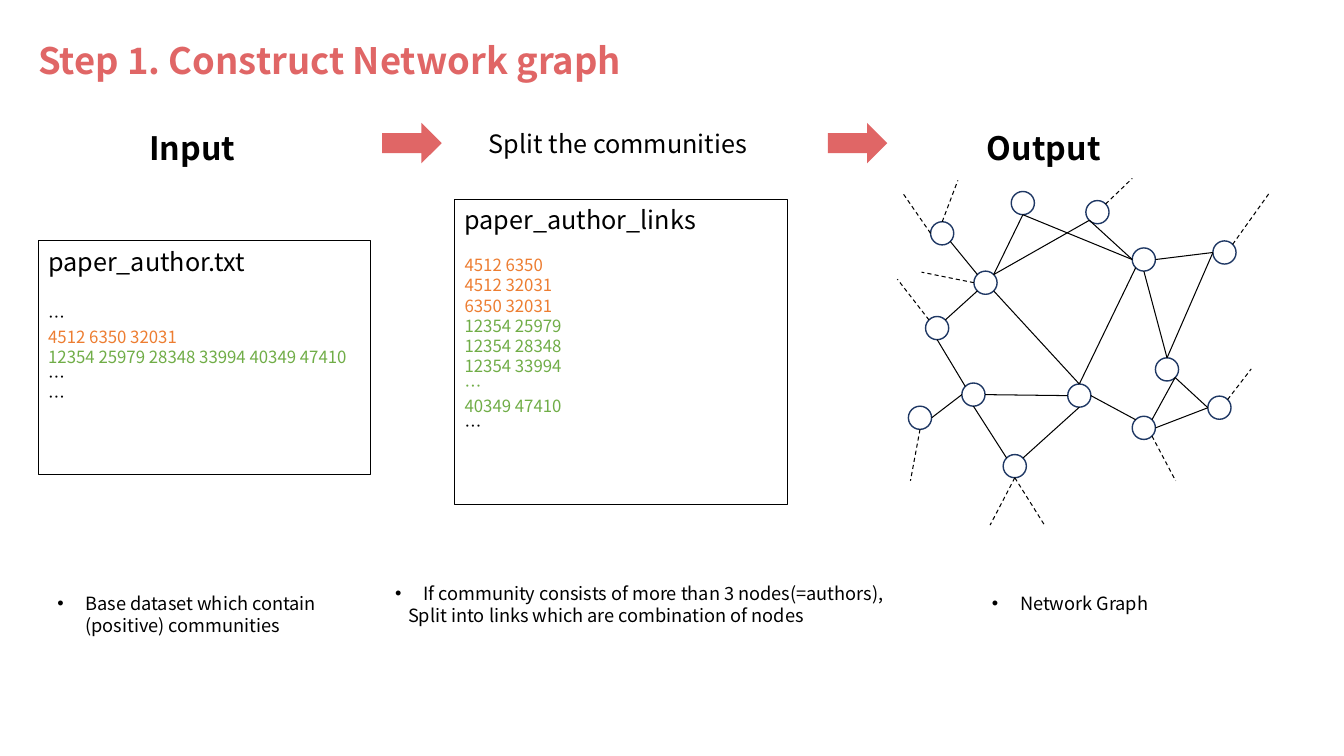
from lxml import etree
from pptx import Presentation
from pptx.dml.color import RGBColor
from pptx.enum.dml import MSO_LINE
from pptx.enum.shapes import MSO_CONNECTOR, MSO_SHAPE
from pptx.enum.text import MSO_ANCHOR, MSO_AUTO_SIZE, PP_ALIGN
from pptx.oxml.ns import qn
from pptx.util import Pt

DASH = MSO_LINE.DASH
STRAIGHT = MSO_CONNECTOR.STRAIGHT
OVAL, RECTANGLE, ARROW = MSO_SHAPE.OVAL, MSO_SHAPE.RECTANGLE, MSO_SHAPE.RIGHT_ARROW
TOP, LEFT, NO_FIT = MSO_ANCHOR.TOP, PP_ALIGN.LEFT, MSO_AUTO_SIZE.NONE

EMU_PER_PX = 9144
FONT = "Noto Sans CJK KR"
LEADING = 1.2
COLORS = {"accent": "E06666", "ink": "000000", "node": "1F3864",
          "orange": "ED7D31", "green": "70AD47"}

NODE_SIZE = 23
NODES = {
    "hub": (76, 92), "east": (233, 69), "center": (169, 204), "north": (113, 13),
    "peak": (187, 22), "west": (28, 137), "low": (64, 203), "south": (105, 274),
    "corner": (33, 43), "edge": (11, 226), "right": (256, 178), "far": (313, 62),
    "base": (233, 236), "end": (308, 216),
}
SITES = {"n": (0.5, 0), "s": (0.5, 1), "w": (0, 0.5), "e": (1, 0.5),
         "nw": (0.15, 0.15), "ne": (0.85, 0.15), "sw": (0.15, 0.85), "se": (0.85, 0.85)}
LINKS = [
    ("hub", "ne", "north", "s"), ("east", "w", "north", "s"),
    ("hub", "ne", "peak", "sw"), ("east", "w", "peak", "sw"),
    ("west", "ne", "hub", "sw"), ("west", "s", "low", "nw"),
    ("center", "w", "low", "e"), ("south", "nw", "low", "s"),
    ("south", "ne", "center", "s"), ("corner", "se", "hub", "nw"),
    ("edge", "e", "low", "w"), ("east", "e", "far", "w"),
    ("east", "s", "right", "n"), ("far", "w", "right", "n"),
    ("center", "e", "base", "nw"), ("right", "se", "end", "w"),
    ("base", "e", "end", "w"), ("right", "se", "base", "ne"),
    ("center", "n", "hub", "se"), ("east", "sw", "center", "n"),
]
OPEN_LINKS = [
    ("corner", "n", 60, 2), ("corner", "w", 5, 14), ("west", "nw", 0, 100),
    ("hub", "w", 24, 93), ("edge", "s", 13, 300), ("south", "s", 92, 344),
    ("south", "s", 146, 344), ("far", "ne", 370, 13), ("base", "se", 276, 300),
    ("end", "ne", 351, 189), ("peak", "ne", 233, 0),
]


def px(length):
    """Turn px into EMU."""
    return round(length * EMU_PER_PX)


def rgb(name):
    """Look up a colour."""
    return RGBColor.from_string(COLORS[name])


def set_frame(frame):
    """Give a text frame the common insets, wrapping and anchor."""
    frame.word_wrap = True
    frame.auto_size = NO_FIT
    frame.vertical_anchor = TOP
    frame.margin_left = frame.margin_right = px(10)
    frame.margin_top = frame.margin_bottom = px(5)


def write(frame, text, size=12, color="ink", bold=False, after=0, margin=0, bullet=False):
    """Write one paragraph, using the first one while it is empty."""
    para = frame.paragraphs[0] if not frame.text else frame.add_paragraph()
    para.alignment = LEFT
    para.line_spacing = Pt(size * LEADING)
    para.space_before, para.space_after = Pt(0), Pt(after)
    span = para.add_run()
    span.text = text
    span.font.name, span.font.size, span.font.bold = FONT, Pt(size), bold
    span.font.color.rgb = rgb(color)
    properties = para._p.get_or_add_pPr()
    properties.set("marL", str(px(31 if bullet else margin)))
    properties.set("indent", str(px(-28 if bullet else 0)))
    if bullet:
        etree.SubElement(properties, qn("a:buFont")).set("typeface", "Arial")
        etree.SubElement(properties, qn("a:buChar")).set("char", "•")


def add_text(page, box, text, **style):
    """Add a text box holding one paragraph and return its frame."""
    frame = page.shapes.add_textbox(*map(px, box)).text_frame
    set_frame(frame)
    write(frame, text, **style)
    return frame


def add_figure(page, kind, box, fill=None, line=None, width=1):
    """Add a preset shape with a plain fill and outline."""
    shape = page.shapes.add_shape(kind, *map(px, box))
    shape.shadow.inherit = False
    if fill:
        shape.fill.solid()
        shape.fill.fore_color.rgb = rgb(fill)
    else:
        shape.fill.background()
    if line:
        shape.line.color.rgb = rgb(line)
        shape.line.width = Pt(width)
    else:
        shape.line.fill.background()
    return shape


def add_link(page, start, end, dash=None):
    """Draw a thin line between two points."""
    link = page.shapes.add_connector(STRAIGHT, *map(px, (*start, *end)))
    link.line.color.rgb = rgb("ink")
    link.line.width = Pt(0.75)
    if dash:
        link.line.dash_style = dash
    etree.SubElement(link._element.spPr, qn("a:effectLst"))


def add_title(page, box, text):
    """Place and format the title placeholder."""
    title = page.shapes.title
    title.left, title.top, title.width, title.height = map(px, box)
    set_frame(title.text_frame)
    write(title.text_frame, text, size=26, color="accent", bold=True)


def add_listing(page, box, name, gap, rows):
    """Add a framed file listing with a heading and coloured rows."""
    frame = add_figure(page, RECTANGLE, box, line="ink", width=0.75).text_frame
    set_frame(frame)
    write(frame, name, size=18, after=gap)
    for text, color in rows:
        write(frame, text, color=color)


def add_network(page, box):
    """Draw the network graph inside its box."""
    left, top = box[:2]

    def site_point(node, site):
        """Locate a site on the outline of a node."""
        return tuple(origin + corner + NODE_SIZE * share for origin, corner, share
                     in zip((left, top), NODES[node], SITES[site]))

    for x, y in NODES.values():
        add_figure(page, OVAL, (left + x, top + y, NODE_SIZE, NODE_SIZE), line="node")
    for first, first_site, second, second_site in LINKS:
        add_link(page, site_point(first, first_site), site_point(second, second_site))
    for node, site, x, y in OPEN_LINKS:
        add_link(page, site_point(node, site), (left + x, top + y), dash=DASH)


def main():
    """Build and save the deck."""
    deck = Presentation()
    deck.slide_width, deck.slide_height = px(1333), px(750)
    page = deck.slides.add_slide(deck.slide_layouts[5])
    add_title(page, (28, 33, 633, 40), "Step 1. Construct Network graph")
    add_text(page, (138, 122, 217, 40), "Input", size=23, bold=True)
    add_text(page, (475, 122, 282, 40), "Split the communities", size=18)
    add_text(page, (969, 122, 217, 40), "Output", size=23, bold=True)
    for left in (379, 821):
        add_figure(page, ARROW, (left, 122, 59, 40), fill="accent")
    add_listing(page, (38, 239, 330, 232), "paper_author.txt", 21.6, [
        ("…", "ink"), ("4512 6350 32031", "orange"),
        ("12354 25979 28348 33994 40349 47410", "green"), ("…", "ink"), ("…", "ink")])
    add_listing(page, (451, 198, 330, 303), "paper_author_links", 14.4, [
        ("4512 6350", "orange"), ("4512 32031", "orange"), ("6350 32031", "orange"),
        ("12354 25979", "green"), ("12354 28348", "green"), ("12354 33994", "green"),
        ("…", "green"), ("40349 47410", "green"), ("…", "ink")])
    add_network(page, (890, 177, 370, 344))
    add_text(page, (44, 583, 299, 40), "Base dataset which contain (positive) communities",
             size=13, bullet=True)
    split_note = add_text(page, (379, 573, 518, 59),
                          "If community consists of more than 3 nodes(=authors),",
                          size=13, bullet=True)
    write(split_note, "Split into links which are combination of nodes", size=13, margin=16)
    add_text(page, (971, 583, 207, 40), "Network Graph", size=13, bullet=True)
    deck.save("out.pptx")


if __name__ == "__main__":
    main()
